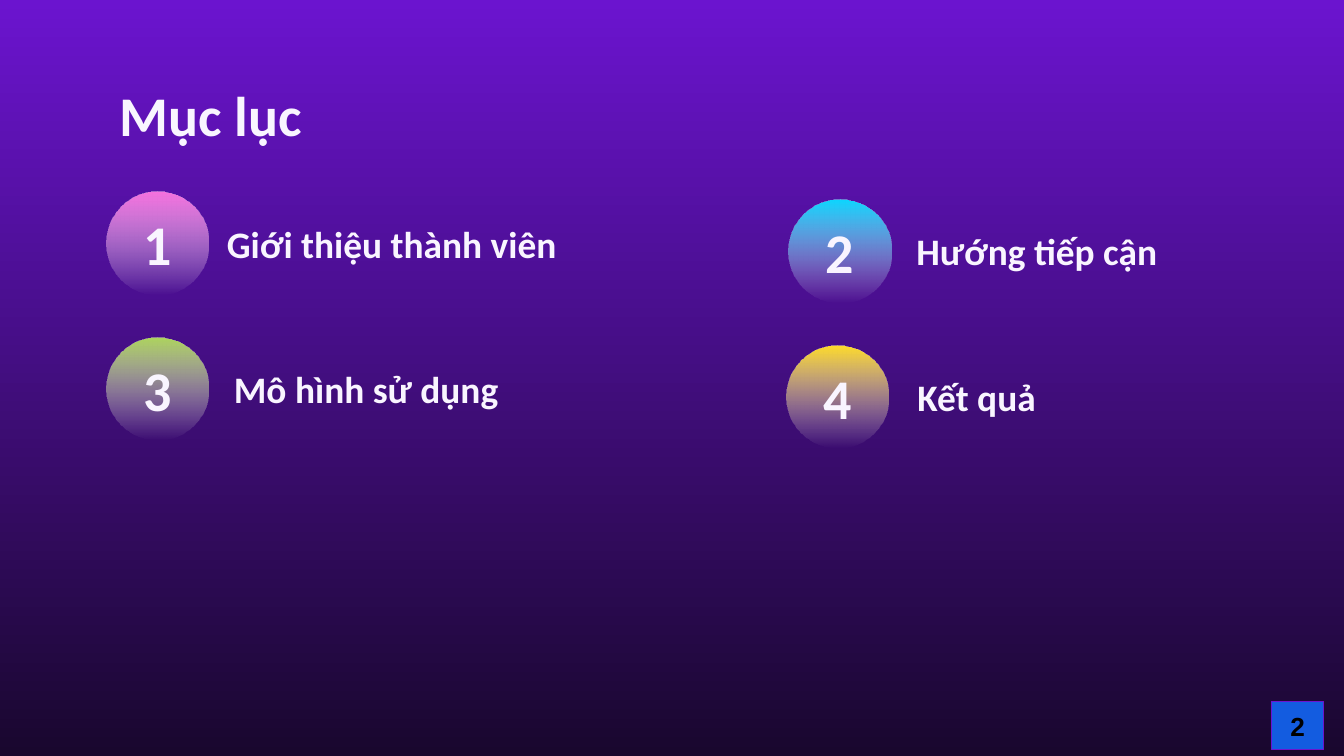
import pptx
import pptx.util
import pptx.dml.color
import pptx.enum.shapes
import pptx.enum.text
import pptx.oxml
import pptx.oxml.ns

Cm, Pt = pptx.util.Cm, pptx.util.Pt
RGBColor = pptx.dml.color.RGBColor
Shape = pptx.enum.shapes.MSO_SHAPE
Align = pptx.enum.text.PP_ALIGN

PURPLE = RGBColor(0x6B, 0x14, 0xCF)
NIGHT = RGBColor(0x19, 0x07, 0x2E)
PALE = RGBColor(0xF9, 0xF5, 0xFF)
WHITE = RGBColor(0xFF, 0xFF, 0xFF)
BLACK = RGBColor(0x00, 0x00, 0x00)
BLUE = RGBColor(0x13, 0x5C, 0xE0)
PINK = RGBColor(0xF7, 0x72, 0xDF)
CYAN = RGBColor(0x0C, 0xD7, 0xFF)
GREEN = RGBColor(0xAE, 0xD5, 0x5E)
YELLOW = RGBColor(0xFF, 0xDC, 0x2A)


def shade(fill, top, end):
    """Fill from top to bottom and return the last stop."""
    fill.gradient()
    fill.gradient_angle = 270
    first, last = fill.gradient_stops
    first.color.rgb = top
    last.color.rgb = end
    return last


def write(shape, text, size, color=PALE, font="Calibri", align=Align.LEFT):
    """Put one bold line in the middle of a shape."""
    frame = shape.text_frame
    frame.word_wrap = True
    frame.vertical_anchor = pptx.enum.text.MSO_ANCHOR.MIDDLE
    frame.margin_left = frame.margin_right = Cm(0.25)
    frame.margin_top = frame.margin_bottom = Cm(0.25)
    line = frame.paragraphs[0]
    line.text = text
    line.alignment = align
    line.font.name = font
    line.font.size = Pt(size)
    line.font.bold = True
    line.font.color.rgb = color


deck = pptx.Presentation()
deck.slide_width, deck.slide_height = Cm(25.4), Cm(14.29)
slide = deck.slides.add_slide(deck.slide_layouts[6])
shapes = slide.shapes
shade(slide.background.fill, PURPLE, NIGHT)

# Title
title = shapes.add_textbox(Cm(2.01), Cm(1.5), Cm(21.41), Cm(1.32))
write(title, "Mục lục", 30)

# Contents: text, color, circle left and top, label left and width
items = [
    ("Giới thiệu thành viên", PINK, 2.01, 3.63, 4.04, 7.47),
    ("Hướng tiếp cận", CYAN, 14.91, 3.78, 17.07, 6.5),
    ("Mô hình sử dụng", GREEN, 2.01, 6.38, 4.17, 6.5),
    ("Kết quả", YELLOW, 14.86, 6.53, 17.09, 6.5),
]
SIZE = 1.93
for number, (text, color, left, top, start, width) in enumerate(items, 1):
    # Circle that fades out downward
    disc = shapes.add_shape(Shape.OVAL, Cm(left), Cm(top), Cm(SIZE), Cm(SIZE))
    disc.shadow.inherit = False
    disc.line.fill.background()
    shade(disc.fill, color, WHITE)
    tint = disc.fill._xPr.findall(".//" + pptx.oxml.ns.qn("a:srgbClr"))[-1]
    alpha = pptx.oxml.parse_xml("<a:alpha %s val='0'/>" % pptx.oxml.ns.nsdecls("a"))
    tint.append(alpha)

    # Number and label
    box = shapes.add_textbox(Cm(left), Cm(top + 0.36), Cm(SIZE), Cm(1.22))
    write(box, str(number), 30, align=Align.CENTER)
    label = shapes.add_textbox(Cm(start), Cm(top + 0.14), Cm(width), Cm(1.65))
    write(label, text, 20)

# Page number
page = shapes.add_shape(Shape.RECTANGLE, Cm(24.03), Cm(13.26), Cm(0.99), Cm(0.91))
page.shadow.inherit = False
page.fill.solid()
page.fill.fore_color.rgb = BLUE
page.line.color.rgb = PURPLE
page.line.width = Pt(0.75)
write(page, "2", 14, BLACK, "Arial", Align.CENTER)

deck.save("out.pptx")
